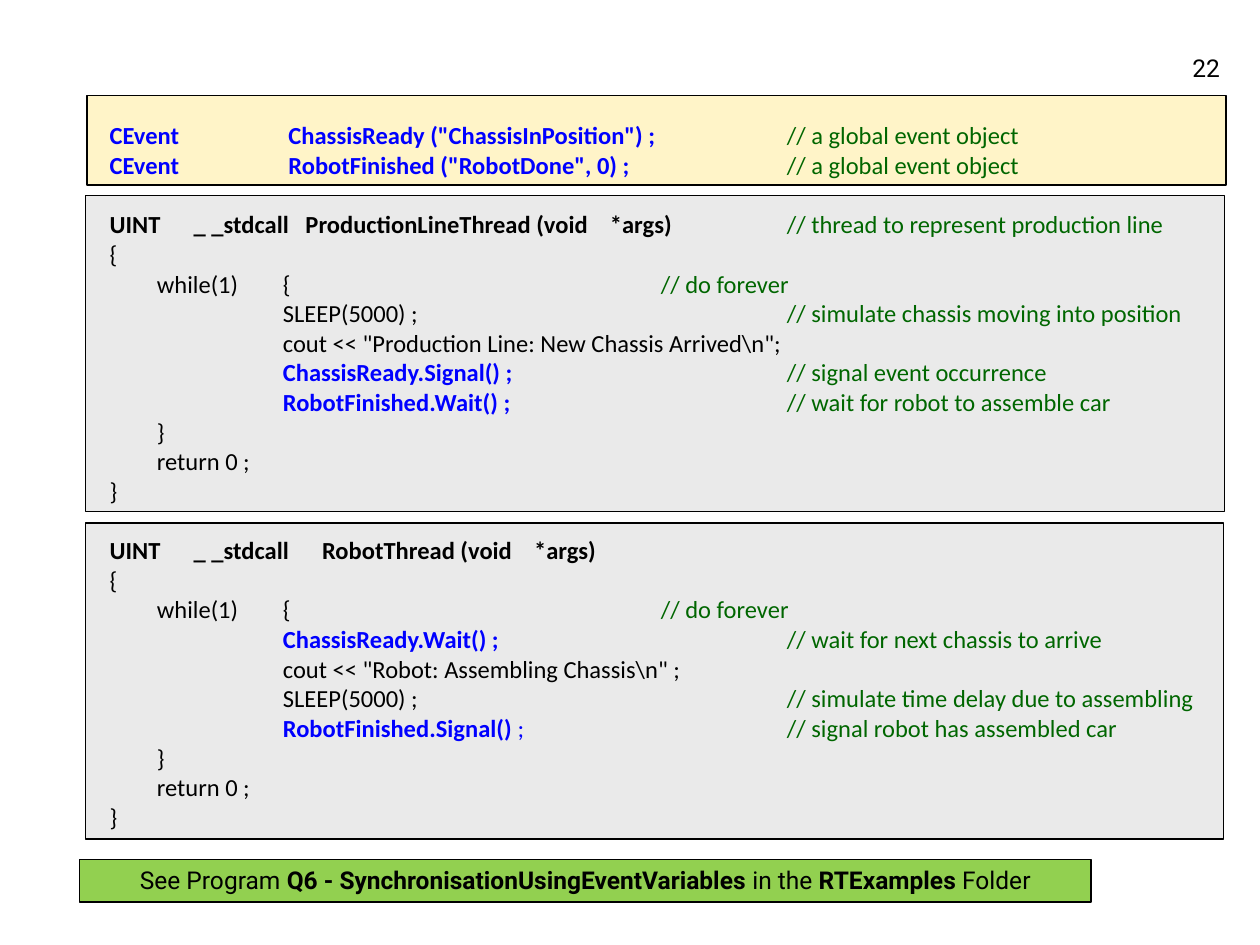
from pptx import Presentation
from pptx.dml.color import RGBColor
from pptx.enum.shapes import MSO_SHAPE
from pptx.enum.text import MSO_ANCHOR, MSO_AUTO_SIZE, PP_ALIGN
from pptx.oxml.ns import qn
from pptx.util import Inches, Pt
from lxml.etree import SubElement

COLORS = {
    "black": "000000",
    "event": "0000FF",
    "comment": "006600",
    "globals": "FFF4C8",
    "thread": "EAEAEA",
    "reference": "92D050",
}
STYLES = {
    "plain": ("black", False),
    "bold": ("black", True),
    "event": ("event", True),
    "light_event": ("event", False),
    "comment": ("comment", False),
}
LINE_GAP = 3.5
BLOCK_GAP = 20.5

GLOBALS = [
    [("event", "CEvent\t ChassisReady (\"ChassisInPosition\") ;\t\t"), ("comment", "// a global event object")],
    [("event", "CEvent\t RobotFinished (\"RobotDone\", 0) ;\t\t"), ("comment", "// a global event object")],
]
LOOP_START = [
    [("plain", "{")],
    [("plain", "\twhile(1)\t{\t\t\t"), ("comment", "// do forever")],
]
LOOP_END = [[("plain", "\t}")], [("plain", "\treturn 0 ;")], [("plain", "}")]]
PRODUCTION_LINE = [
    [("bold", "UINT      _ _stdcall   ProductionLineThread (void    *args)\t"),
     ("comment", "// thread to represent production line")],
    *LOOP_START,
    [("plain", "\t\tSLEEP(5000) ;\t\t\t"), ("comment", "// simulate chassis moving into position")],
    [("plain", "\t\tcout << \"Production Line: New Chassis Arrived\\n\";")],
    [("event", "\t\tChassisReady.Signal() ;\t\t\t"), ("comment", "// signal event occurrence")],
    [("event", "\t\tRobotFinished.Wait() ;\t\t\t"), ("comment", "// wait for robot to assemble car")],
    *LOOP_END,
]
ROBOT = [
    [("bold", "UINT      _ _stdcall      RobotThread (void    *args)")],
    *LOOP_START,
    [("event", "\t\tChassisReady.Wait() ;\t\t\t"), ("comment", "// wait for next chassis to arrive")],
    [("plain", "\t\tcout << \"Robot: Assembling Chassis\\n\" ;")],
    [("plain", "\t\tSLEEP(5000) ;\t\t\t"), ("comment", "// simulate time delay due to assembling")],
    [("event", "\t\tRobotFinished.Signal()"), ("light_event", " ;\t\t\t"),
     ("comment", "// signal robot has assembled car")],
    *LOOP_END,
]
BLOCKS = [GLOBALS, PRODUCTION_LINE, ROBOT]


def rgb(name):
    return RGBColor.from_string(COLORS[name])


def add_panel(slide, box, fill):
    panel = slide.shapes.add_shape(MSO_SHAPE.RECTANGLE, *map(Inches, box))
    panel.shadow.inherit = False
    panel.fill.solid()
    panel.fill.fore_color.rgb = rgb(fill)
    panel.line.color.rgb = rgb("black")
    panel.line.width = Pt(0.75)
    return panel


def add_runs(paragraph, pieces):
    for style, text in pieces:
        color, bold = STYLES[style]
        run = paragraph.add_run()
        run.text = text
        run.font.bold = bold
        run.font.color.rgb = rgb(color)


def set_code_layout(paragraph):
    properties = paragraph._p.get_or_add_pPr()
    properties.set("marL", str(Inches(0.375)))
    properties.set("indent", str(-Inches(0.375)))
    properties.set("defTabSz", str(Inches(1)))
    SubElement(properties, qn("a:buNone"))
    paragraph.line_spacing = 0.8


def place_code(slide, body, box):
    slide.shapes._spTree.append(body._element)
    body.left, body.top, body.width, body.height = map(Inches, box)
    frame = body.text_frame
    frame.auto_size = MSO_AUTO_SIZE.NONE
    frame.vertical_anchor = MSO_ANCHOR.TOP
    frame.margin_top = Inches(0.43)
    first = True
    for lines in BLOCKS:
        for number, pieces in enumerate(lines):
            paragraph = frame.paragraphs[0] if first else frame.add_paragraph()
            set_code_layout(paragraph)
            gap = LINE_GAP if number else BLOCK_GAP
            paragraph.space_before = Pt(0 if first else gap)
            paragraph.font.name = "Calibri"
            paragraph.font.size = Pt(14)
            add_runs(paragraph, pieces)
            first = False


def add_page_number(slide, box):
    frame = slide.shapes.add_textbox(*map(Inches, box)).text_frame
    frame.word_wrap = True
    frame.vertical_anchor = MSO_ANCHOR.BOTTOM
    number = frame.paragraphs[0]
    number.alignment = PP_ALIGN.RIGHT
    number.font.name = "Roboto"
    number.font.size = Pt(14)
    add_runs(number, [("plain", "22")])


def add_reference(slide, box):
    frame = add_panel(slide, box, "reference").text_frame
    frame.word_wrap = True
    frame.vertical_anchor = MSO_ANCHOR.TOP
    reference = frame.paragraphs[0]
    reference.alignment = PP_ALIGN.CENTER
    reference.font.name = "Roboto"
    reference.font.size = Pt(14)
    add_runs(reference, [
        ("plain", "See Program "),
        ("bold", "Q6 - SynchronisationUsingEventVariables "),
        ("plain", "in the "),
        ("bold", "RTExamples"),
        ("plain", " Folder"),
    ])


def main():
    presentation = Presentation()
    presentation.slide_width = Inches(10)
    presentation.slide_height = Inches(7.5)
    slide = presentation.slides.add_slide(presentation.slide_layouts[1])
    title, body = slide.placeholders
    title._element.getparent().remove(title._element)
    add_panel(slide, (0.69, 0.76, 9.04, 0.71), "globals")
    add_page_number(slide, (7.7, 0.2, 2.08, 0.5))
    add_panel(slide, (0.68, 4.15, 9.03, 2.51), "thread")
    add_panel(slide, (0.68, 1.55, 9.04, 2.51), "thread")
    place_code(slide, body, (0.77, 0.57, 8.89, 6.11))
    add_reference(slide, (0.63, 6.82, 8.03, 0.34))
    presentation.save("out.pptx")


if __name__ == "__main__":
    main()
